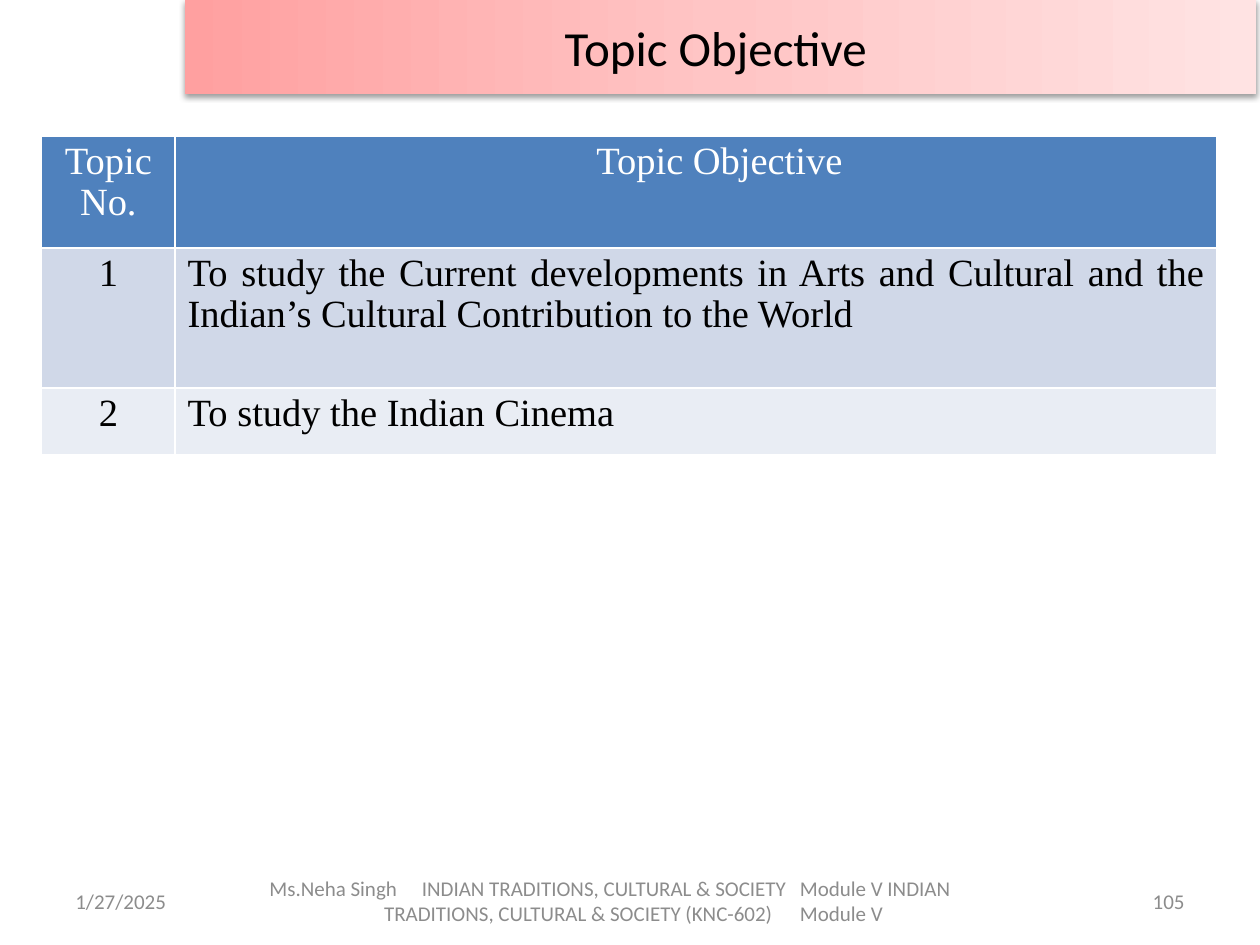
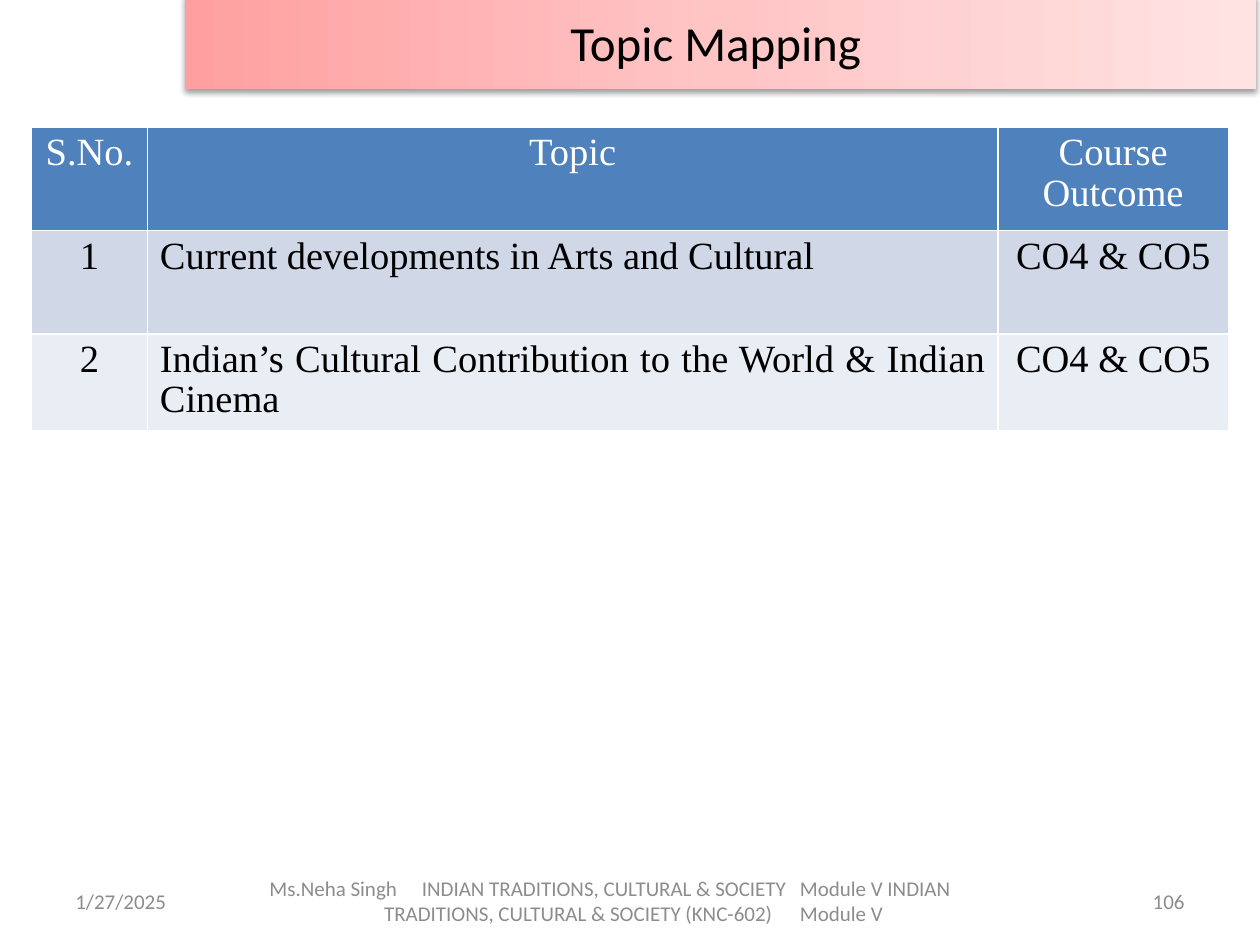
from dataclasses import dataclass

from lxml import etree
from pptx import Presentation
from pptx.dml.color import RGBColor
from pptx.enum.text import MSO_ANCHOR, MSO_AUTO_SIZE, PP_ALIGN
from pptx.oxml import parse_xml
from pptx.oxml.ns import nsdecls, qn
from pptx.util import Inches, Pt

LEFT, CENTER, RIGHT, JUSTIFY = PP_ALIGN.LEFT, PP_ALIGN.CENTER, PP_ALIGN.RIGHT, PP_ALIGN.JUSTIFY
MIDDLE, TOP = MSO_ANCHOR.MIDDLE, MSO_ANCHOR.TOP
NO_FIT = MSO_AUTO_SIZE.NONE


@dataclass(frozen=True)
class Theme:
    sans: str = "Calibri"
    serif: str = "Times New Roman"
    title_size: int = 28
    table_size: int = 22
    footer_size: int = 12
    ink: str = "000000"
    header_ink: str = "FFFFFF"
    footer_ink: str = "8C8C8C"
    header_fill: str = "4F81BD"
    row_fills: tuple = ("D0D8E8", "E9EDF4")
    banner_stops: tuple = ((0, "FFA0A0"), (50, "FFC5C5"), (100, "FFE3E3"))


theme = Theme()
TITLE_FORMAT = dict(font=theme.sans, size=theme.title_size, color=theme.ink, align=CENTER)
TABLE_FORMAT = dict(font=theme.serif, size=theme.table_size, spacing=0.95)
FOOTER_FORMAT = dict(font=theme.sans, size=theme.footer_size, color=theme.footer_ink)


def write(para, text, font, size, color, align=LEFT, spacing=None, indent=0, tabs=()):
    """Fill a paragraph with formatted text; indent and tabs are in inches."""
    para.text = text
    para.alignment = align
    if spacing:
        para.line_spacing = spacing
    if indent:
        properties = para._p.get_or_add_pPr()
        properties.set("marL", "0")
        properties.set("indent", str(Inches(indent)))
        tab_list = etree.SubElement(properties, qn("a:tabLst"))
        for position in tabs:
            etree.SubElement(tab_list, qn("a:tab"), pos=str(Inches(position)), algn="l")
    for span in para.runs:
        span.font.name = font
        span.font.size = Pt(size)
        span.font.bold = False
        span.font.color.rgb = RGBColor.from_string(color)


def add_footer_box(page, left, width):
    box = page.shapes.add_textbox(Inches(left), Inches(6.95), Inches(width), Inches(0.4))
    box.text_frame.word_wrap = True
    box.text_frame.vertical_anchor = MIDDLE
    return box.text_frame


# Shared look of the title banner
stops = "".join(
    f'<a:gs pos="{position * 1000}"><a:srgbClr val="{color}"/></a:gs>'
    for position, color in theme.banner_stops
)
BANNER_PARTS = (
    f'<a:prstGeom {nsdecls("a")} prst="rect"><a:avLst/></a:prstGeom>',
    f'<a:gradFill {nsdecls("a")} rotWithShape="1"><a:gsLst>{stops}</a:gsLst>'
    '<a:lin ang="0" scaled="0"/></a:gradFill>',
    f'<a:effectLst {nsdecls("a")}><a:outerShdw blurRad="{Pt(3.1)}" dist="{Pt(1.6)}" '
    'dir="5400000" rotWithShape="0"><a:srgbClr val="000000"><a:alpha val="38000"/>'
    '</a:srgbClr></a:outerShdw></a:effectLst>',
)

# Shared footer: text, first-line indent and tab stops of each line
DATE = "1/27/2025"
FOOTER_LINES = (
    ("Ms.Neha Singh\tINDIAN TRADITIONS, CULTURAL & SOCIETY\tModule V INDIAN", 0.29, (1.76, 5.13)),
    ("TRADITIONS, CULTURAL & SOCIETY (KNC-602)\tModule V", 1.2, (4.77,)),
)

# Content of the slides
pages = (
    dict(
        title="Topic Objective", number=105, banner_top=0, table_at=(0.33, 1.08),
        widths=(1.06, 8.27), heights=(0.89, 1.11, 0.53), header_shift=0.37,
        rows=(
            ("Topic No.", "Topic Objective"),
            ("1", "To study the Current developments in Arts and Cultural and the "
                  "Indian’s Cultural Contribution to the World"),
            ("2", "To study the Indian Cinema"),
        ),
    ),
    dict(
        title="Topic Mapping", number=106, banner_top=-0.04, table_at=(0.25, 1.01),
        widths=(0.92, 6.75, 1.83), heights=(0.82, 0.82, 0.77), header_shift=0,
        rows=(
            ("S.No.", "Topic", "Course Outcome"),
            ("1", "Current developments in Arts and Cultural", "CO4 & CO5"),
            ("2", "Indian’s Cultural Contribution to the World & Indian Cinema", "CO4 & CO5"),
        ),
    ),
)

deck = Presentation()
deck.slide_width, deck.slide_height = Inches(10), Inches(7.5)
title_only = deck.slide_layouts[5]

for content in pages:
    page = deck.slides.add_slide(title_only)

    # Title banner
    banner = page.shapes.title
    banner.left, banner.top = Inches(1.47), Inches(content["banner_top"])
    banner.width, banner.height = Inches(8.5), Inches(0.75)
    for part in BANNER_PARTS:
        banner._element.spPr.append(parse_xml(part))
    frame = banner.text_frame
    frame.auto_size = NO_FIT
    frame.vertical_anchor = MIDDLE
    frame.margin_right = Inches(0.18)
    write(frame.paragraphs[0], content["title"], **TITLE_FORMAT)

    # Topic table
    rows, widths, heights = content["rows"], content["widths"], content["heights"]
    left, top = content["table_at"]
    table = page.shapes.add_table(
        len(rows), len(widths), Inches(left), Inches(top),
        Inches(sum(widths)), Inches(sum(heights)),
    ).table
    for column, width in zip(table.columns, widths):
        column.width = Inches(width)
    for row_index, (texts, height) in enumerate(zip(rows, heights)):
        table.rows[row_index].height = Inches(height)
        is_header = row_index == 0
        fill = theme.header_fill if is_header else theme.row_fills[row_index - 1]
        for column_index, text in enumerate(texts):
            cell = table.cell(row_index, column_index)
            cell.fill.solid()
            cell.fill.fore_color.rgb = RGBColor.from_string(fill)
            cell.vertical_anchor = TOP
            is_topic = column_index == 1
            if is_header and is_topic:
                cell.margin_left = Inches(0.1 + content["header_shift"])
            write(
                cell.text_frame.paragraphs[0], text,
                color=theme.header_ink if is_header else theme.ink,
                align=JUSTIFY if is_topic and not is_header else CENTER,
                **TABLE_FORMAT,
            )

    # Date, course line and page number
    write(add_footer_box(page, 0.5, 2.33).paragraphs[0], DATE, **FOOTER_FORMAT)
    frame = add_footer_box(page, 1.75, 6.83)
    for line_index, (text, indent, tabs) in enumerate(FOOTER_LINES):
        para = frame.add_paragraph() if line_index else frame.paragraphs[0]
        write(para, text, indent=indent, tabs=tabs, **FOOTER_FORMAT)
    number = add_footer_box(page, 8.5, 1).paragraphs[0]
    write(number, str(content["number"]), align=RIGHT, **FOOTER_FORMAT)

deck.save("out.pptx")
